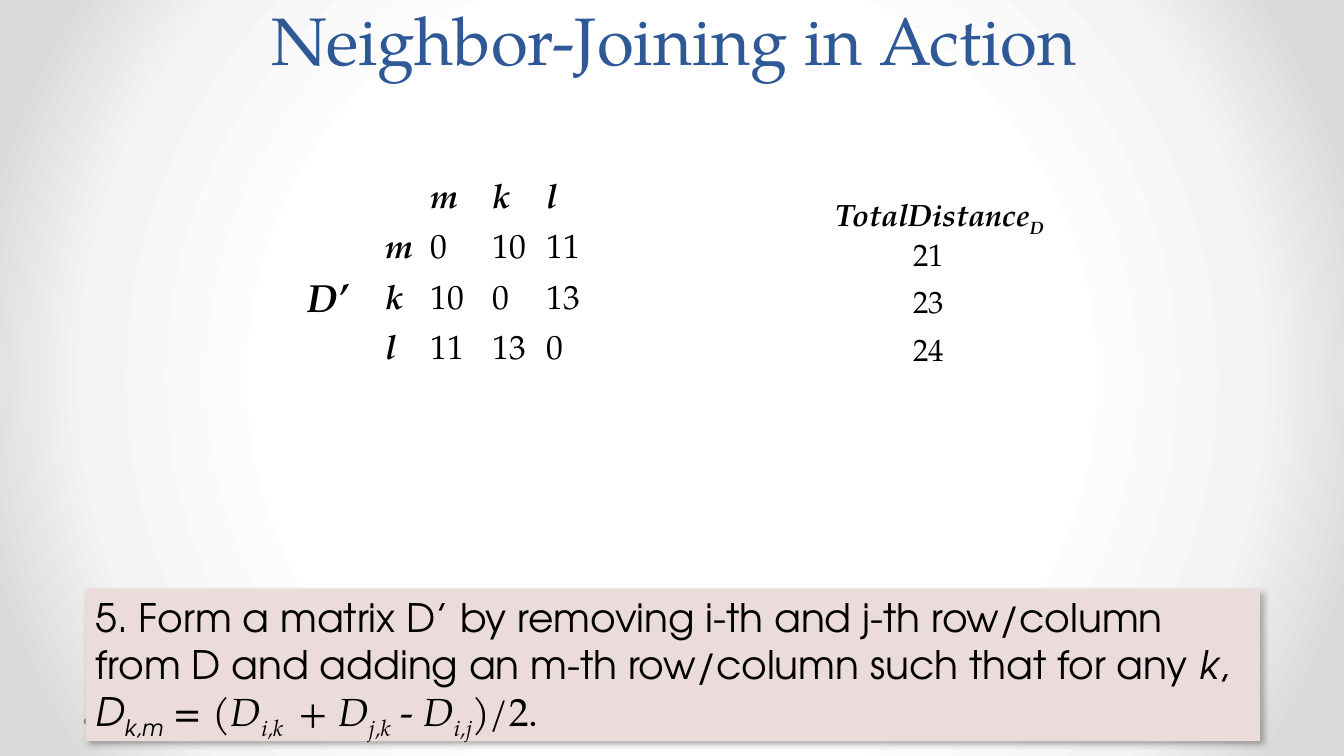
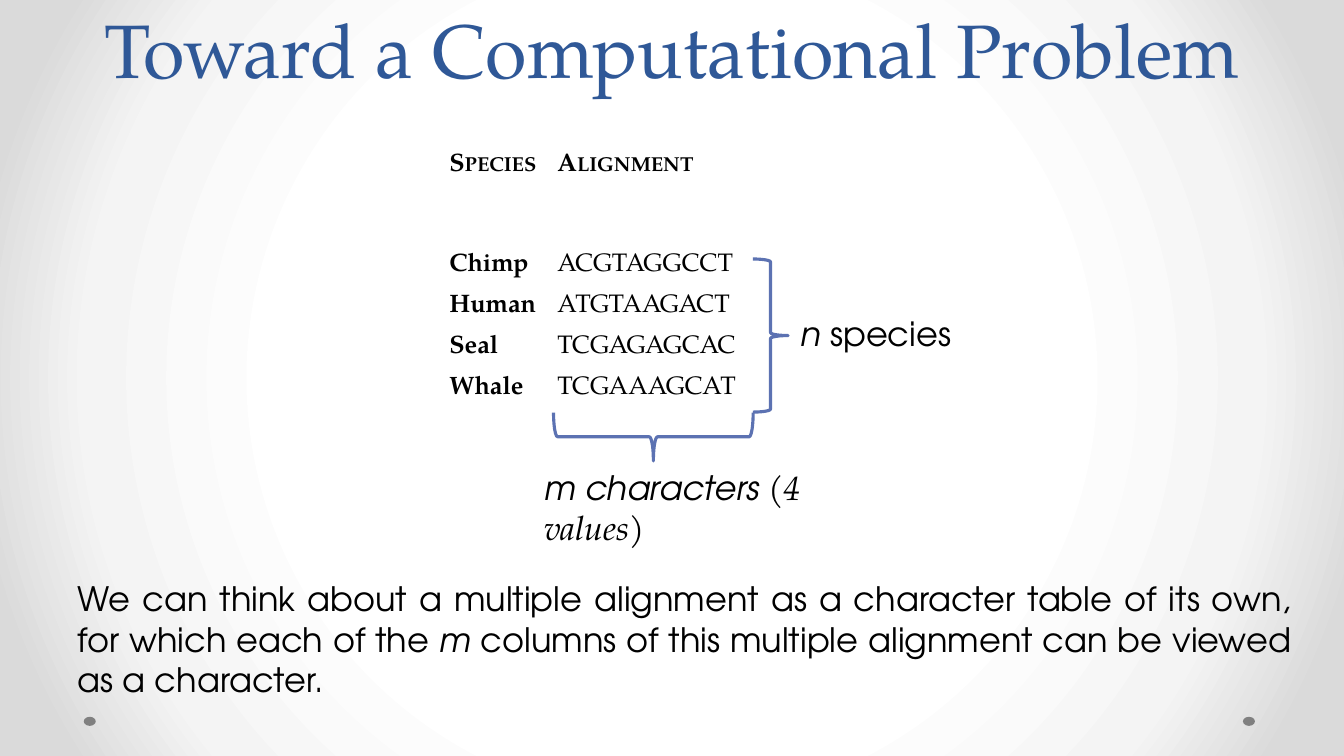
from collections import namedtuple
from lxml.etree import SubElement
from pptx import Presentation
from pptx.dml.color import RGBColor
from pptx.enum.shapes import MSO_SHAPE
from pptx.enum.text import MSO_ANCHOR, MSO_AUTO_SIZE, PP_ALIGN
from pptx.oxml.ns import qn
from pptx.util import Pt

Box = namedtuple("Box", "left top width height")

SERIF = "TeX Gyre Pagella"
SANS = "TeX Gyre Adventor"
BLACK, BLUE, GRAY, PINK, BRACE = "000000", "2F5897", "808080", "ECDBDB", "5C72B2"
BACKGROUND_STOPS = [(50, "FFFFFF"), (76, "F4F4F4"), (92, "DADADA")]
PLAIN_TABLE = "{2D5ABB26-0587-4C30-8999-92F81FD0307C}"
ITALIC = {"italic": True}
BOLD = {"bold": True}
BOLD_ITALIC = {"bold": True, "italic": True}
SUBSCRIPT = {"italic": True, "baseline": "-25000"}
SERIF_ITALIC = {"name": SERIF, "italic": True}
SERIF_SUBSCRIPT = {"name": SERIF, **SUBSCRIPT}
SMALL_CAPS = {"bold": True, "cap": "small"}


def color(value):
    return RGBColor.from_string(value)


def points(box):
    return [Pt(length) for length in box]


def write_runs(paragraph, runs, name, size, ink=BLACK):
    for text, changes in runs:
        run = paragraph.add_run()
        run.text = text
        values = {"name": name, "size": Pt(size), "bold": False, "italic": False, **changes}
        run.font.color.rgb = color(ink)
        for key, value in values.items():
            if key in ("baseline", "cap"):
                run.font._element.set(key, value)
            else:
                setattr(run.font, key, value)


def add_text(slide, box, runs, name, size, wrap=False, alignment=PP_ALIGN.LEFT):
    frame = slide.shapes.add_textbox(*points(box)).text_frame
    frame.word_wrap = wrap
    frame.auto_size = MSO_AUTO_SIZE.SHAPE_TO_FIT_TEXT
    frame.paragraphs[0].alignment = alignment
    write_runs(frame.paragraphs[0], runs, name, size)


def add_plain_table(slide, left, top, widths, heights, rows, size):
    box = Box(left, top, sum(widths), sum(heights))
    table = slide.shapes.add_table(len(heights), len(widths), *points(box)).table
    table.first_row = table.horz_banding = False
    table._tbl.tblPr.find(qn("a:tableStyleId")).text = PLAIN_TABLE
    for column, width in zip(table.columns, widths):
        column.width = Pt(width)
    for row, height in zip(table.rows, heights):
        row.height = Pt(height)
    for row, contents in zip(table.rows, rows):
        for cell, (text, changes) in zip(row.cells, contents):
            cell.fill.background()
            if text:
                write_runs(cell.text_frame.paragraphs[0], [(text, changes)], SERIF, size)


def add_shape(slide, kind, box, fill=None, line=None):
    shape = slide.shapes.add_shape(kind, *points(box))
    shape.shadow.inherit = False
    if fill:
        shape.fill.solid()
        shape.fill.fore_color.rgb = color(fill)
    else:
        shape.fill.background()
    if line:
        shape.line.color.rgb = color(line)
        shape.line.width = Pt(2.25)
    else:
        shape.line.fill.background()
    return shape


def set_background(master):
    master.background.fill.gradient()
    gradient = master.element.find(".//" + qn("a:gradFill"))
    for child in list(gradient):
        gradient.remove(child)
    stops = SubElement(gradient, qn("a:gsLst"))
    for position, value in BACKGROUND_STOPS:
        stop = SubElement(stops, qn("a:gs"), pos=str(position * 1000))
        SubElement(stop, qn("a:srgbClr"), val=value)
    circle = SubElement(gradient, qn("a:path"), path="circle")
    SubElement(circle, qn("a:fillToRect"), l="50000", t="50000", r="50000", b="50000")


def start_slide(presentation, title, box, size, dots):
    slide = presentation.slides.add_slide(presentation.slide_layouts[5])
    shape = slide.shapes.title
    shape.left, shape.top, shape.width, shape.height = points(box)
    frame = shape.text_frame
    frame.auto_size = MSO_AUTO_SIZE.NONE
    frame.word_wrap = True
    frame.vertical_anchor = MSO_ANCHOR.BOTTOM
    paragraph = frame.paragraphs[0]
    paragraph.alignment = PP_ALIGN.CENTER
    paragraph.line_spacing = Pt(58)
    write_runs(paragraph, [(title, {})], SERIF, size, BLUE)
    for left in dots:
        add_shape(slide, MSO_SHAPE.OVAL, Box(left, 512, 8.6, 6.5), GRAY)
    return slide


def add_distance_matrix(slide, box):
    names = "mkl"
    distances = [(0, 10, 11), (10, 0, 13), (11, 13, 0)]
    rows = [[("", {})] + [(name, BOLD_ITALIC) for name in names]]
    for name, values in zip(names, distances):
        rows.append([(name, BOLD_ITALIC)] + [(str(value), {}) for value in values])
    add_text(slide, Box(box.left, box.top + 64, 45, 41), [("D’", BOLD_ITALIC)], SERIF, 28)
    add_plain_table(slide, box.left + 56, box.top, [32, 44, 38.9, 38.9],
                    [box.height / 4] * 4, rows, 24)


def add_total_distances(slide, box):
    heading = [("TotalDistance", BOLD_ITALIC), ("D", {**BOLD_ITALIC, "baseline": "-25000"})]
    add_text(slide, Box(box.left, box.top, box.width, 34), heading, SERIF, 22)
    rows = [[(str(total), {})] for total in (21, 23, 24, "")]
    add_plain_table(slide, box.left + 55.4, box.top + 34.5, [46.8],
                    [33.6] * len(rows), rows, 22)


def add_step(slide, box, runs):
    shape = add_shape(slide, MSO_SHAPE.RECTANGLE, box, PINK)
    effects = shape._element.spPr.find(qn("a:effectLst"))
    shadow = SubElement(effects, qn("a:outerShdw"), blurRad=str(Pt(4.5)), dist=str(Pt(2.6)),
                        dir=str(53 * 60000), algn="tl", rotWithShape="0")
    ink = SubElement(shadow, qn("a:srgbClr"), val=BLACK)
    SubElement(ink, qn("a:alpha"), val="30000")
    frame = shape.text_frame
    frame.word_wrap = True
    frame.vertical_anchor = MSO_ANCHOR.TOP
    frame.paragraphs[0].alignment = PP_ALIGN.LEFT
    write_runs(frame.paragraphs[0], runs, SANS, 28)


def add_alignment(slide, box):
    sequences = {"Chimp": "ACGTAGGCCT", "Human": "ATGTAAGACT",
                 "Seal": "TCGAGAGCAC", "Whale": "TCGAAAGCAT"}
    rows = [[("Species", SMALL_CAPS), ("Alignment", SMALL_CAPS)]]
    rows += [[(species, BOLD), (bases, {})] for species, bases in sequences.items()]
    header, names = 72, 77.2
    row_height = (box.height - header) / len(sequences)
    add_plain_table(slide, box.left, box.top, [names, box.width - names],
                    [header] + [row_height] * len(sequences), rows, 18)

    right, bottom = box.left + box.width, box.top + box.height
    add_shape(slide, MSO_SHAPE.RIGHT_BRACE,
              Box(right - 4.2, box.top + 79.4, 25.2, 109.4), line=BRACE)
    span, depth = 142.6, 34.6
    center = right - 4 - span / 2
    brace = add_shape(slide, MSO_SHAPE.RIGHT_BRACE,
                      Box(center - depth / 2, bottom + 0.5 + (depth - span) / 2, depth, span),
                      line=BRACE)
    brace.rotation = 90
    add_text(slide, Box(right + 22.6, box.top + 114.7, 123, 36),
             [("n", ITALIC), (" species", {})], SANS, 24)
    add_text(slide, Box(box.left + 67.9, bottom + 35.6, 250, 65),
             [("m characters ", ITALIC), ("(4 values)", SERIF_ITALIC)], SANS, 24, wrap=True)


def build_neighbor_joining(presentation):
    slide = start_slide(presentation, "Neighbor-Joining in Action",
                        Box(49.7, 0, 864, 59.8), 48, [59.8])
    add_step(slide, Box(61.2, 420.5, 838.8, 108.7), [
        ("5. Form a matrix D’ by removing i-th and j-th row/column from D and adding an "
         "m-th row/column such that for any ", {}),
        ("k", ITALIC), (", ", {}), ("D", ITALIC), ("k,m", SUBSCRIPT), (" = ", {}),
        ("(", {"name": SERIF}), ("D", SERIF_ITALIC), ("i,k ", SERIF_SUBSCRIPT),
        (" + D", SERIF_ITALIC), ("j,k", SERIF_SUBSCRIPT), (" - ", {"name": SERIF}),
        ("D", SERIF_ITALIC), ("i,j", SERIF_SUBSCRIPT), (")/2.", {"name": SERIF})])
    add_distance_matrix(slide, Box(212.5, 127.7, 210, 144))
    add_total_distances(slide, Box(589.7, 136.6, 166.3, 135))


def build_character_table(presentation):
    slide = start_slide(presentation, "Toward a Computational Problem",
                        Box(48.2, 0, 864, 70.6), 54, [59.8, 887.8])
    add_alignment(slide, Box(313.8, 105.6, 228.2, 188.6))
    add_text(slide, Box(48.2, 409.4, 881.3, 94.3), [
        ("We can think about a multiple alignment as a character table of its own, "
         "for which each of the ", {}),
        ("m", ITALIC),
        (" columns of this multiple alignment can be viewed as a character.", {})],
        SANS, 24, wrap=True, alignment=PP_ALIGN.JUSTIFY)


def main():
    presentation = Presentation()
    presentation.slide_width, presentation.slide_height = Pt(960), Pt(540)
    set_background(presentation.slide_master)
    build_neighbor_joining(presentation)
    build_character_table(presentation)
    presentation.save("out.pptx")


if __name__ == "__main__":
    main()
